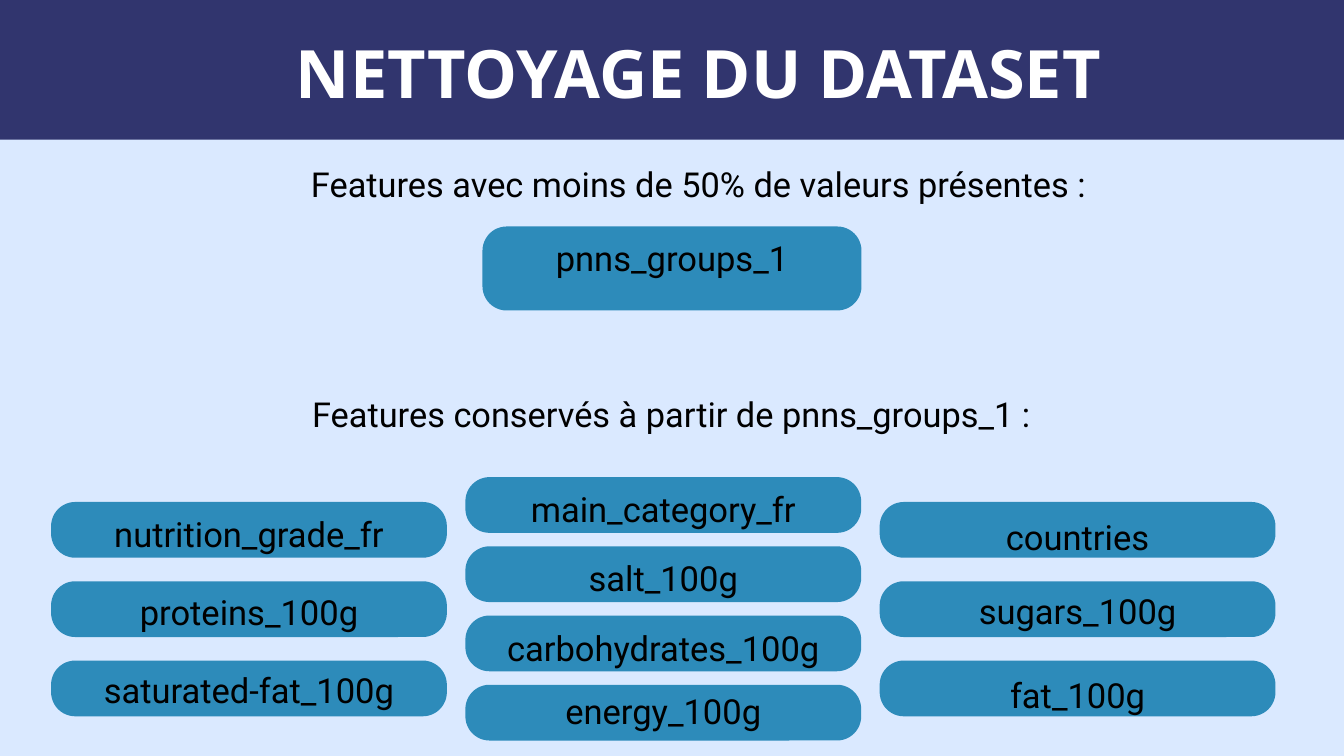
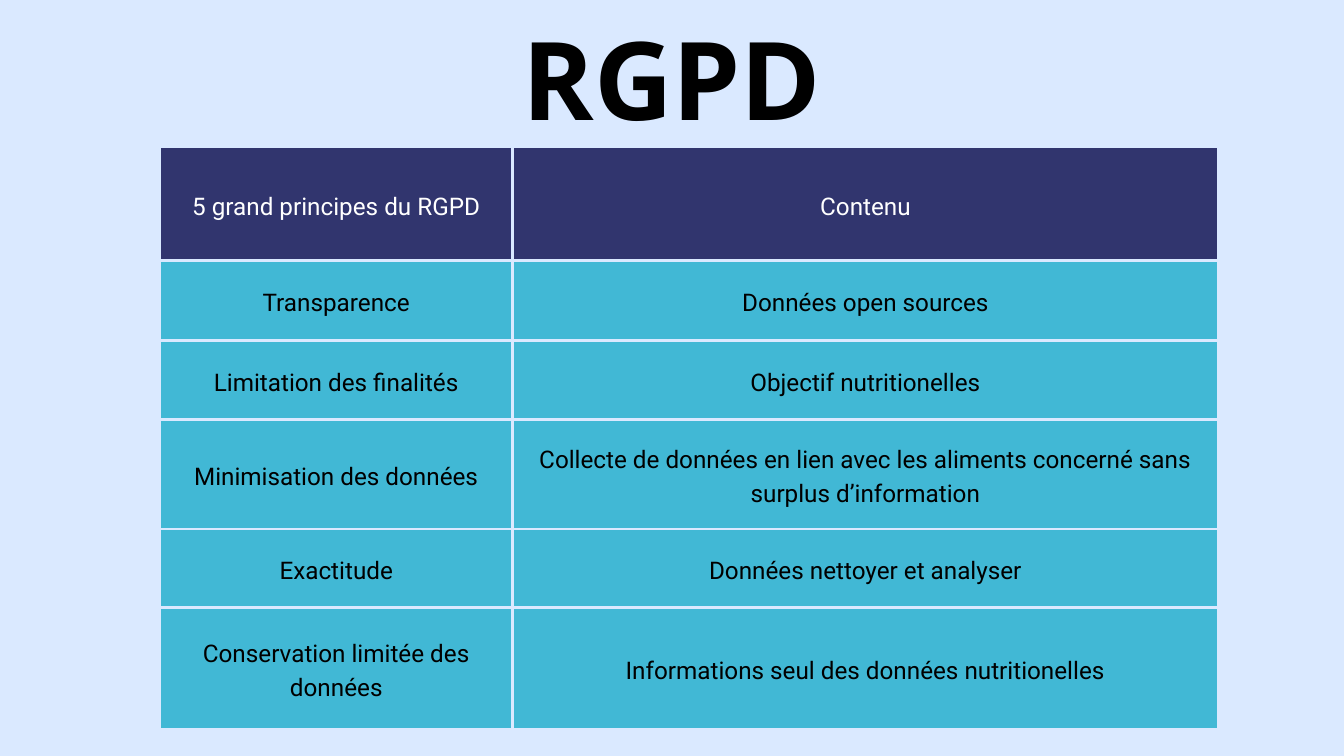
from dataclasses import dataclass

import pptx
import pptx.dml.color
import pptx.enum.shapes
import pptx.enum.text
import pptx.util
from lxml import etree
from pptx.oxml.ns import qn

# The slide is a grid of 20 columns by 11.25 rows; lengths below count them.
COLUMNS, ROWS = 20, 11.25
GRID_UNIT = pptx.util.Inches(1)

PALE, NAVY, BLUE, CYAN = "DAE9FF", "31356E", "2D8BBA", "41B8D5"
BLACK, WHITE = "000000", "FFFFFF"

SHAPES = pptx.enum.shapes.MSO_SHAPE
ANCHOR = pptx.enum.text.MSO_ANCHOR
MARGIN_NAMES = ("margin_left", "margin_top", "margin_right", "margin_bottom")


@dataclass(frozen=True)
class Box:
    left: float
    top: float
    width: float
    height: float

    def lengths(self) -> list[int]:
        return [grid(value) for value in (self.left, self.top, self.width, self.height)]


@dataclass(frozen=True)
class TextStyle:
    font: str
    size: float
    spacing: float
    color: str = BLACK
    bold: bool = False


@dataclass(frozen=True)
class FeatureColumn:
    """Evenly stepped pills; drops are the label offsets below each pill's top."""
    top: float
    step: float
    names: tuple[str, ...]
    drops: tuple[float, ...]


BANNER_TITLE = TextStyle("Open Sans", 71.4, 68.5, WHITE, True)
LARGE_TITLE = TextStyle("Open Sans", 116.4, 111.7, BLACK, True)
HEADING = TextStyle("Roboto", 36.8, 51.6)
PILL_LABEL = TextStyle("Roboto", 37, 51.8)
TABLE_HEADER = TextStyle("Roboto", 26, 36.4, WHITE)
TABLE_BODY = TextStyle("Roboto", 26, 36.4)

BANNER = Box(-0.4, -0.68, 21.58, 2.76)
SPARSE_PILL = Box(7.18, 3.37, 5.64, 1.25)
SPARSE_LABEL = Box(7.18, 2.96, 5.64, 1.66)

FIRST_PILL_LEFT, PILL_STEP = 0.76, 6.165
PILL_WIDTH, PILL_HEIGHT, LABEL_HEIGHT = 5.89, 0.83, 0.7
FEATURE_COLUMNS = (
    FeatureColumn(7.47, 1.18, ("nutrition_grade_fr", "proteins_100g", "saturated-fat_100g"),
                  (0.06, 0.04, 0.03)),
    FeatureColumn(7.1, 1.03, ("main_category_fr", "salt_100g", "carbohydrates_100g",
                              "energy_100g"),
                  (0.06, 0.06, 0.07, -0.02)),
    FeatureColumn(7.47, 1.18, ("countries", "sugars_100g", "fat_100g"),
                  (0.1, 0.02, 0.09)),
)

TABLE_LEFT, TABLE_TOP = 2.38, 2.19
TABLE_WIDTHS = (5.25, 10.5)
TABLE_HEIGHTS = (1.69, 1.19, 1.17, 1.63, 1.17, 1.82)
PRINCIPLES = (
    ("5 grand principes du RGPD", "Contenu"),
    ("Transparence", "Données open sources"),
    ("Limitation des finalités", "Objectif nutritionelles"),
    ("Minimisation des données",
     "Collecte de données en lien avec les aliments concerné sans surplus d’information"),
    ("Exactitude", "Données nettoyer et analyser"),
    ("Conservation limitée des données", "Informations seul des données nutritionelles"),
)


def grid(count: float) -> int:
    return round(count * GRID_UNIT)


def rgb(color: str) -> pptx.dml.color.RGBColor:
    return pptx.dml.color.RGBColor.from_string(color)


def paint(fill, color: str) -> None:
    fill.solid()
    fill.fore_color.rgb = rgb(color)


def set_margins(holder, margin: float) -> None:
    for name in MARGIN_NAMES:
        setattr(holder, name, grid(margin))


def write(text_frame, text: str, style: TextStyle) -> None:
    paragraph = text_frame.paragraphs[0]
    paragraph.alignment = pptx.enum.text.PP_ALIGN.CENTER
    paragraph.line_spacing = pptx.util.Pt(style.spacing)
    run = paragraph.add_run()
    run.text = text
    formats = {"name": style.font, "size": pptx.util.Pt(style.size), "bold": style.bold}
    for name, value in formats.items():
        setattr(run.font, name, value)
    run.font.color.rgb = rgb(style.color)


def add_text(slide, box: Box, text: str, style: TextStyle,
             anchor=ANCHOR.TOP, margin: float = 0) -> None:
    text_frame = slide.shapes.add_textbox(*box.lengths()).text_frame
    text_frame.word_wrap = True
    text_frame.vertical_anchor = anchor
    set_margins(text_frame, margin)
    write(text_frame, text, style)


def add_filled(slide, kind, box: Box, color: str):
    shape = slide.shapes.add_shape(kind, *box.lengths())
    shape.shadow.inherit = False
    paint(shape.fill, color)
    shape.line.fill.background()
    return shape


def add_pill(slide, box: Box, radius: float = 0.36) -> None:
    pill = add_filled(slide, SHAPES.ROUNDED_RECTANGLE, box, BLUE)
    pill.adjustments[0] = radius / box.height


def add_feature_column(slide, left: float, column: FeatureColumn) -> None:
    for row, (name, drop) in enumerate(zip(column.names, column.drops)):
        top = column.top + row * column.step
        add_pill(slide, Box(left, top, PILL_WIDTH, PILL_HEIGHT))
        add_text(slide, Box(left, top + drop, PILL_WIDTH, LABEL_HEIGHT), name, PILL_LABEL)


def set_borders(cell, color: str, points: float) -> None:
    properties = cell._tc.get_or_add_tcPr()
    for side in ("a:lnL", "a:lnR", "a:lnT", "a:lnB"):
        line = etree.SubElement(properties, qn(side), w=str(pptx.util.Pt(points)))
        fill = etree.SubElement(line, qn("a:solidFill"))
        etree.SubElement(fill, qn("a:srgbClr"), val=color)


def add_principles_table(slide) -> None:
    box = Box(TABLE_LEFT, TABLE_TOP, sum(TABLE_WIDTHS), sum(TABLE_HEIGHTS))
    table = slide.shapes.add_table(
        len(TABLE_HEIGHTS), len(TABLE_WIDTHS), *box.lengths()).table
    for column, width in zip(table.columns, TABLE_WIDTHS):
        column.width = grid(width)
    for row_index, (row, height) in enumerate(zip(table.rows, TABLE_HEIGHTS)):
        row.height = grid(height)
        color, style = (CYAN, TABLE_BODY) if row_index else (NAVY, TABLE_HEADER)
        for cell, text in zip(row.cells, PRINCIPLES[row_index]):
            set_borders(cell, PALE, 3)
            paint(cell.fill, color)
            set_margins(cell, 0.21)
            cell.vertical_anchor = ANCHOR.MIDDLE
            write(cell.text_frame, text, style)


def add_slide(presentation):
    slide = presentation.slides.add_slide(presentation.slide_layouts[6])
    paint(slide.background.fill, PALE)
    return slide


def build_cleaning_slide(presentation) -> None:
    slide = add_slide(presentation)
    add_filled(slide, SHAPES.RECTANGLE, BANNER, NAVY)
    add_pill(slide, SPARSE_PILL)
    add_text(slide, SPARSE_LABEL, "pnns_groups_1", PILL_LABEL, ANCHOR.MIDDLE, 0.06)
    add_text(slide, Box(3.96, 0.71, 12.87, 1.01), "NETTOYAGE DU DATASET", BANNER_TITLE)
    add_text(slide, Box(4.46, 2.32, 11.88, 0.71),
             "Features avec moins de 50% de valeurs présentes :", HEADING)
    add_text(slide, Box(4.52, 5.74, 10.95, 0.71),
             "Features conservés à partir de pnns_groups_1 :", HEADING)
    for index, column in enumerate(FEATURE_COLUMNS):
        add_feature_column(slide, FIRST_PILL_LEFT + index * PILL_STEP, column)


def build_gdpr_slide(presentation) -> None:
    slide = add_slide(presentation)
    add_text(slide, Box(2.71, 0.57, 14.58, 1.63), "RGPD", LARGE_TITLE)
    add_principles_table(slide)


def main() -> None:
    presentation = pptx.Presentation()
    presentation.slide_width = grid(COLUMNS)
    presentation.slide_height = grid(ROWS)
    build_cleaning_slide(presentation)
    build_gdpr_slide(presentation)
    presentation.save("out.pptx")


if __name__ == "__main__":
    main()
